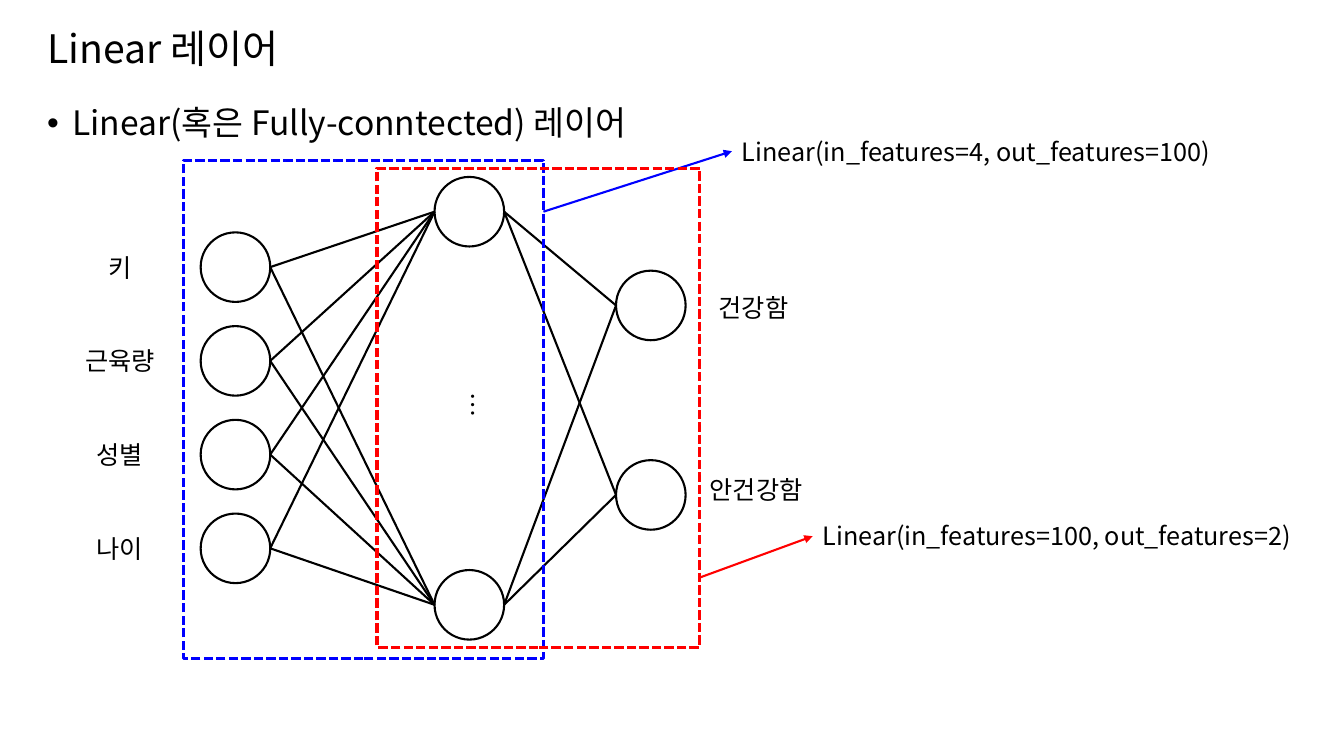
from pptx import Presentation
from pptx import util as u
from pptx.dml.color import RGBColor
from pptx.enum import dml, shapes, text
from pptx.oxml.ns import qn
from lxml import etree

COLORS = {"ink": "000000", "paper": "FFFFFF", "first": "0000FF", "second": "FF0000"}
FONT = "Noto Sans CJK KR"
NODE = 0.69


def add_xml(parent, tag, **attributes):
    return etree.SubElement(parent, qn(tag), attributes)


class Diagram:
    def __init__(self, slide):
        self.slide = slide

    def color(self, key):
        return RGBColor.from_string(COLORS[key])

    def add_words(self, paragraph, words, size):
        run = paragraph.add_run()
        run.text = words
        run.font.size = u.Pt(size)
        run.font.name = FONT
        run.font.color.rgb = self.color("ink")
        add_xml(run._r.get_or_add_rPr(), "a:ea", typeface=FONT)

    def outline(self, line, key, width):
        line.color.rgb = self.color(key)
        line.width = u.Pt(width)

    def title(self, words):
        title = self.slide.shapes.title
        title.left, title.top = u.Inches(0.37), u.Inches(0.21)
        title.width, title.height = u.Inches(12.6), u.Inches(0.59)
        title.text_frame.vertical_anchor = text.MSO_ANCHOR.MIDDLE
        paragraph = title.text_frame.paragraphs[0]
        paragraph.alignment = text.PP_ALIGN.LEFT
        paragraph.line_spacing = 0.9
        self.add_words(paragraph, words, 28)

    def bullet(self, words, left, top, width, height):
        box = self.slide.shapes.add_textbox(*map(u.Inches, (left, top, width, height)))
        box.text_frame.word_wrap = True
        paragraph = box.text_frame.paragraphs[0]
        properties = paragraph._p.get_or_add_pPr()
        properties.set("marL", str(u.Inches(0.25)))
        properties.set("indent", str(-u.Inches(0.25)))
        add_xml(properties, "a:buFont", typeface="Arial")
        add_xml(properties, "a:buChar", char="•")
        paragraph.line_spacing = 0.9
        self.add_words(paragraph, words, 24)

    def label(self, words, left, top, width, height=0.4, vertical=False):
        box = self.slide.shapes.add_textbox(*map(u.Inches, (left, top, width, height)))
        frame = box.text_frame
        frame.word_wrap = False
        frame.auto_size = text.MSO_AUTO_SIZE.SHAPE_TO_FIT_TEXT
        if vertical:
            frame._txBody.bodyPr.set("vert", "eaVert")
        self.add_words(frame.paragraphs[0], words, 18)

    def node(self, left, middle):
        circle = self.slide.shapes.add_shape(
            shapes.MSO_SHAPE.OVAL, u.Inches(left), u.Inches(middle - NODE / 2),
            u.Inches(NODE), u.Inches(NODE))
        circle.shadow.inherit = False
        circle.fill.solid()
        circle.fill.fore_color.rgb = self.color("paper")
        self.outline(circle.line, "ink", 1.5)

    def frame(self, key, left, top, width, height):
        box = self.slide.shapes.add_shape(
            shapes.MSO_SHAPE.RECTANGLE, *map(u.Inches, (left, top, width, height)))
        box.shadow.inherit = False
        box.fill.background()
        self.outline(box.line, key, 2.25)
        box.line.dash_style = dml.MSO_LINE.SQUARE_DOT

    def line(self, start, end, key="ink", arrow=False):
        link = self.slide.shapes.add_connector(
            shapes.MSO_CONNECTOR.STRAIGHT, *map(u.Inches, (*start, *end)))
        self.outline(link.line, key, 1.5)
        if arrow:
            add_xml(link.get_or_add_ln(), "a:tailEnd", type="triangle")
        add_xml(link._element.spPr, "a:effectLst")

    def connect(self, left_layer, right_layer):
        """Join every node of one layer to every node of the next."""
        (left, sources), (right, targets) = left_layer, right_layer
        for source in sources:
            for target in targets:
                self.line((left + NODE, source), (right, target))


def main():
    deck = Presentation()
    deck.slide_width, deck.slide_height = u.Inches(13.33), u.Inches(7.5)
    diagram = Diagram(deck.slides.add_slide(deck.slide_layouts[5]))

    diagram.title("Linear 레이어")
    diagram.bullet("Linear(혹은 Fully-conntected) 레이어", 0.37, 1.01, 12.6, 5.91)

    # Each layer: left edge and the vertical centres of its nodes
    inputs = (1.99, [2.65 + 0.93 * row for row in range(4)])
    hidden = (4.31, [2.1, 6])
    outputs = (6.11, [3.03, 4.91])
    for left, middles in (inputs, hidden, outputs):
        for middle in middles:
            diagram.node(left, middle)
    diagram.connect(inputs, hidden)
    diagram.connect(hidden, outputs)

    features = [("키", 0.43), ("근육량", 0.89), ("성별", 0.66), ("나이", 0.66)]
    for (feature, width), middle in zip(features, inputs[1]):
        diagram.label(feature, 1.19 - width / 2, middle - 0.2, width)
    diagram.label("…", 4.4, 3.8, 0.5, 0.33, vertical=True)
    diagram.label("건강함", 7.03, 2.85, 0.89)
    diagram.label("안건강함", 6.94, 4.66, 1.12)

    diagram.frame("first", 1.82, 1.59, 3.57, 4.94)
    diagram.line((5.39, 2.1), (7.26, 1.5), "first", arrow=True)
    diagram.label("Linear(in_features=4, out_features=100)", 7.26, 1.3, 4.87)
    diagram.frame("second", 3.74, 1.67, 3.2, 4.75)
    diagram.line((6.94, 5.73), (8.06, 5.32), "second", arrow=True)
    diagram.label("Linear(in_features=100, out_features=2)", 8.06, 5.11, 4.87)

    deck.save("out.pptx")


if __name__ == "__main__":
    main()
